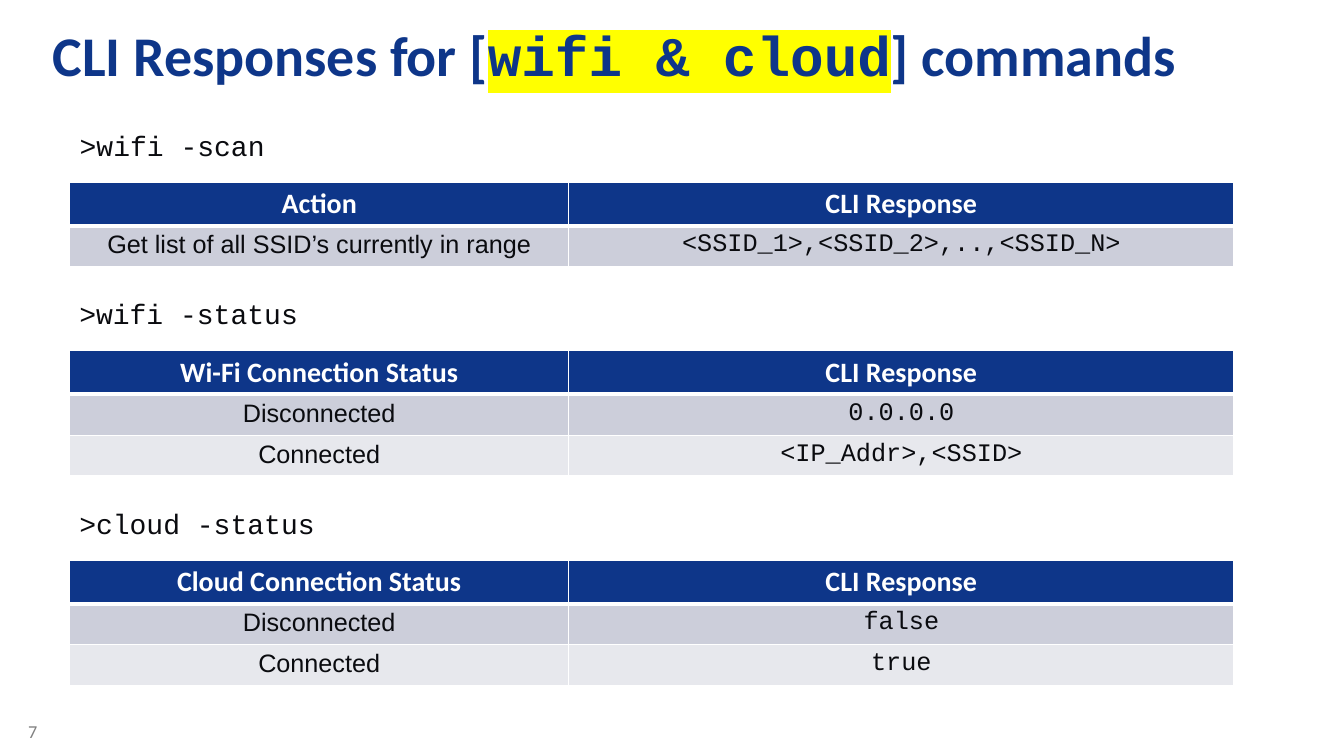
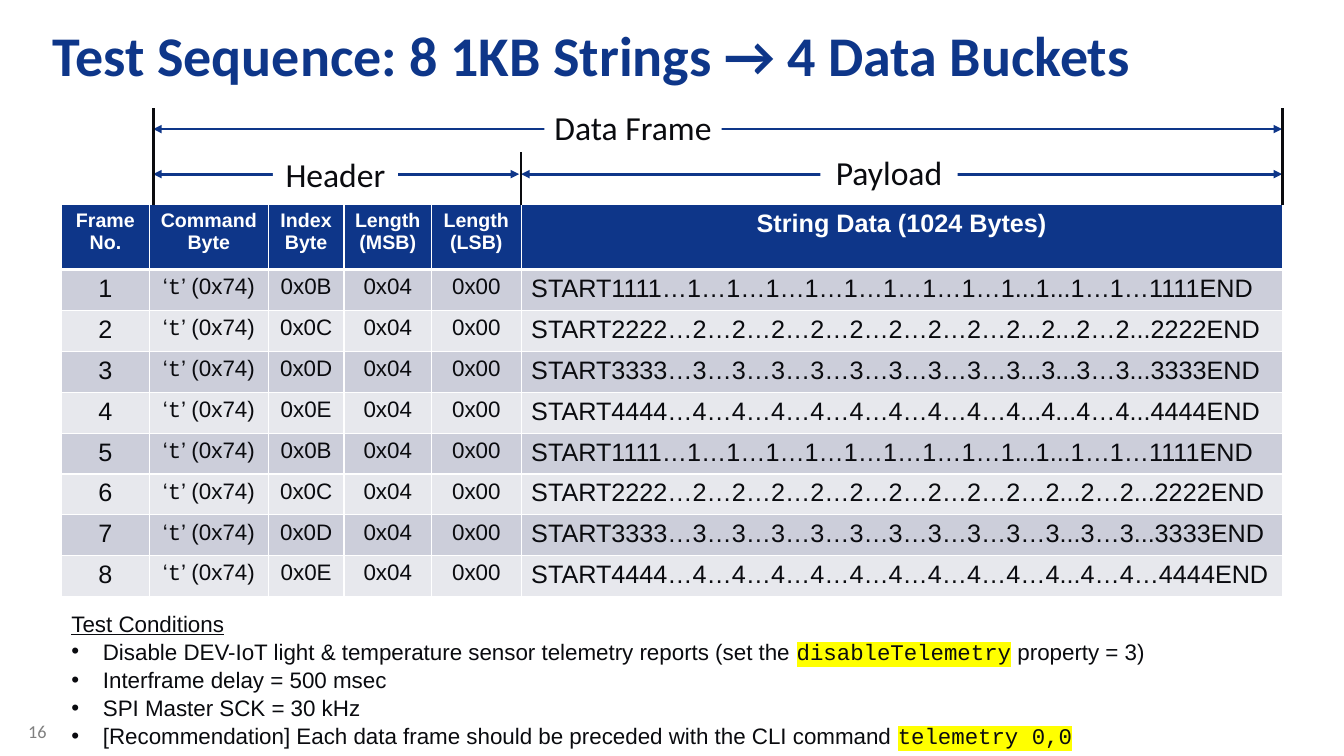
import dataclasses

import lxml.etree
import pptx
import pptx.dml.color
import pptx.enum.shapes
import pptx.enum.text
import pptx.oxml.ns
import pptx.util

Pt = pptx.util.Pt
qn = pptx.oxml.ns.qn
Align = pptx.enum.text.PP_ALIGN
Anchor = pptx.enum.text.MSO_ANCHOR
Fit = pptx.enum.text.MSO_AUTO_SIZE


@dataclasses.dataclass(frozen=True)
class Theme:
    navy: str = "0E3689"
    ink: str = "0A0B0F"
    white: str = "FFFFFF"
    grey: str = "808080"
    glow: str = "FFFF00"
    bands: tuple = ("CCCEDA", "E7E8ED")
    head: str = "Calibri"
    body: str = "Arial"
    code: str = "Courier New"
    title: float = 40
    label: float = 24
    large: float = 20
    main: float = 18
    small: float = 16
    tiny: float = 14
    foot: float = 13


T = Theme()
CODE = dict(font=T.code)
MARK = dict(font=T.code, mark=T.glow)


def tint(text):
    return pptx.dml.color.RGBColor.from_string(text)


def add_tag(root, tag, **attrs):
    return lxml.etree.SubElement(root, qn(tag), attrs)


def add_run(para, text, size=T.main, font=T.body, color=T.ink,
            bold=False, under=False, mark=None):
    run = para.add_run()
    run.text = text
    face = run.font
    face.size, face.name, face.bold = Pt(size), font, bold
    if under:
        face.underline = True
    face.color.rgb = tint(color)
    if mark:
        glow = lxml.etree.Element(qn("a:highlight"))
        add_tag(glow, "a:srgbClr", val=mark)
        face._element.find(qn("a:solidFill")).addnext(glow)


def write(frame, lines, align=Align.LEFT, after=0, **form):
    for spot, line in enumerate([lines] if isinstance(lines, str) else lines):
        para = frame.add_paragraph() if spot else frame.paragraphs[0]
        para.alignment = align
        para.space_after = Pt(after)
        for part in [line] if isinstance(line, str) else line:
            text, extra = (part, {}) if isinstance(part, str) else part
            add_run(para, text, **{**form, **extra})


def add_text(slide, box, lines, wrap=True, **form):
    shape = slide.shapes.add_textbox(*map(Pt, box))
    shape.text_frame.word_wrap = wrap
    write(shape.text_frame, lines, **form)
    return shape


def add_slide(deck, title, page):
    slide = deck.slides.add_slide(deck.slide_layouts[5])
    shape = slide.shapes.title
    shape.left, shape.top, shape.width, shape.height = map(Pt, (28, 8, 898, 61))
    frame = shape.text_frame
    frame.margin_left = frame.margin_right = Pt(9.6)
    frame.margin_top = frame.margin_bottom = Pt(4.8)
    frame.vertical_anchor = Anchor.MIDDLE
    frame.auto_size = Fit.NONE
    frame.word_wrap = True
    write(frame, title, size=T.title, font=T.head, color=T.navy, bold=True)
    add_text(slide, (13, 511, 42.5, 29), page, size=T.foot, font=T.head,
             color=T.grey)
    return slide


def add_edges(cell, top, base):
    props = cell._tc.get_or_add_tcPr()
    edges = (("a:lnL", 1), ("a:lnR", 1), ("a:lnT", top), ("a:lnB", base))
    for spot, (tag, width) in enumerate(edges):
        line = lxml.etree.Element(qn(tag), w=str(Pt(width)))
        add_tag(add_tag(line, "a:solidFill"), "a:srgbClr", val=T.white)
        props.insert(spot, line)


def add_grid(slide, left, top, widths, heights, rows, forms, heads):
    table = slide.shapes.add_table(
        len(rows), len(widths), Pt(left), Pt(top),
        Pt(sum(widths)), Pt(sum(heights))).table
    table.horz_banding = False
    for col, width in zip(table.columns, widths):
        col.width = Pt(width)
    for r, (row, height) in enumerate(zip(rows, heights)):
        table.rows[r].height = Pt(height)
        for c, lines in enumerate(row):
            cell = table.cell(r, c)
            cell.fill.solid()
            cell.fill.fore_color.rgb = tint(T.bands[(r - 1) % 2] if r else T.navy)
            add_edges(cell, 3 if r == 1 else 1, 1 if r else 3)
            form = forms[c] if r else dict(color=T.white, bold=True, **heads[c])
            write(cell.text_frame, lines, **{"align": Align.CENTER, **form})


def add_line(slide, x1, y1, x2, y2, color, arrows=False):
    line = slide.shapes.add_connector(
        pptx.enum.shapes.MSO_CONNECTOR.STRAIGHT, *map(Pt, (x1, y1, x2, y2)))
    line.line.color.rgb = tint(color)
    line.line.width = Pt(2)
    if arrows:
        for tag in ("a:headEnd", "a:tailEnd"):
            add_tag(line.line._get_or_add_ln(), tag, type="triangle")
    add_tag(line._element.spPr, "a:effectLst")


def add_label(slide, left, top, width, text):
    shape = add_text(slide, (left, top, width, 36), text, align=Align.CENTER,
                     size=T.label, font=T.head)
    shape.fill.solid()
    shape.fill.fore_color.rgb = tint(T.white)


def add_dot(para):
    props = para._p.get_or_add_pPr()
    props.set("marL", str(Pt(22.5)))
    props.set("indent", str(-Pt(22.5)))
    add_tag(props, "a:buFont", typeface=T.body)
    add_tag(props, "a:buChar", char="•")


def show_replies(deck):
    slide = add_slide(
        deck, [["CLI Responses for [", ("wifi & cloud", MARK), "] commands"]], "7")
    parts = [
        ([[(">wifi -scan", CODE)]], "Action",
         [("Get list of all SSID’s currently in range",
           "<SSID_1>,<SSID_2>,..,<SSID_N>")]),
        ([[">", ("wifi -status", CODE)]], "Wi-Fi Connection Status",
         [("Disconnected", "0.0.0.0"), ("Connected", "<IP_Addr>,<SSID>")]),
        ([[">", ("cloud -status", CODE)]], "Cloud Connection Status",
         [("Disconnected", "false"), ("Connected", "true")]),
    ]
    left, top, gap = 49.8, 130, 60
    for call, name, rows in parts:
        heights = [31.2] + [29.2] * len(rows)
        add_text(slide, (left, top - 42, 190, 32), call, wrap=False, size=T.large)
        add_grid(slide, left, top, (356.4, 475.2), heights,
                 [(name, "CLI Response")] + rows, ({}, CODE),
                 [dict(size=T.large, font=T.head)] * 2)
        top += sum(heights) + gap


def show_frames(deck):
    slide = add_slide(deck, "Test Sequence: 8 1KB Strings → 4 Data Buckets", "16")
    start, split, end, base = 109.4, 372.2, 915.8, 146.2
    high, low = 92.2, 124.4
    for x1, x2, y in ((split, end, low), (start, split - 1.4, low),
                      (start, end, high)):
        add_line(slide, x1, y, x2, y, T.navy, arrows=True)

    strings = [
        "START1111…1…1…1…1…1…1…1…1…1...1...1…1…1111END",
        "START2222…2…2…2…2…2…2…2…2…2...2...2…2...2222END",
        "START3333…3…3…3…3…3…3…3…3…3...3...3…3...3333END",
        "START4444…4…4…4…4…4…4…4…4…4...4...4…4...4444END",
        "START1111…1…1…1…1…1…1…1…1…1...1...1…1…1111END",
        "START2222…2…2…2…2…2…2…2…2…2…2...2…2...2222END",
        "START3333…3…3…3…3…3…3…3…3…3…3...3…3...3333END",
        "START4444…4…4…4…4…4…4…4…4…4…4...4…4…4444END",
    ]
    rows = [("Frame No.", ("Command", "Byte"), ("Index", "Byte"),
             ("Length", "(MSB)"), ("Length", "(LSB)"), "String Data (1024 Bytes)")]
    for spot, text in enumerate(strings):
        rows.append((str(spot + 1), [["‘", ("t", CODE), "’ (0x74)"]],
                     "0x0" + "BCDE"[spot % 4], "0x04", "0x00", text))
    small = dict(size=T.small)
    add_grid(slide, 43.9, base, (62.8, 85, 54, 62.6, 64, 543.6),
             [46.4] + [29.2] * len(strings), rows,
             [{}] + [small] * 4 + [dict(align=Align.LEFT)],
             [dict(size=T.tiny)] * 5 + [dict(size=T.main)])

    for x, y in ((start, 77), (split, 108.7), (end, 77)):
        add_line(slide, x, base, x, y, T.ink)
    add_label(slide, 195, 106.6, 89.3, "Header")
    add_label(slide, 586, 105, 98, "Payload")
    add_label(slide, 388.8, 72.7, 126.7, "Data Frame")

    notes = add_text(slide, (43.9, 432, 790.6, 104.4), [
        [("Test Conditions", dict(under=True))],
        ["Disable DEV-IoT light & temperature sensor telemetry reports (set the ",
         ("disableTelemetry", MARK), " property = 3)"],
        "Interframe delay = 500 msec",
        "SPI Master SCK = 30 kHz",
        ["[Recommendation] Each data frame should be preceded with the CLI command ",
         ("telemetry 0,0", MARK)],
    ], size=T.small, after=0.9)
    for para in notes.text_frame.paragraphs[1:]:
        add_dot(para)


def main():
    deck = pptx.Presentation()
    deck.slide_width, deck.slide_height = Pt(960), Pt(540)
    show_replies(deck)
    show_frames(deck)
    deck.save("out.pptx")


if __name__ == "__main__":
    main()
